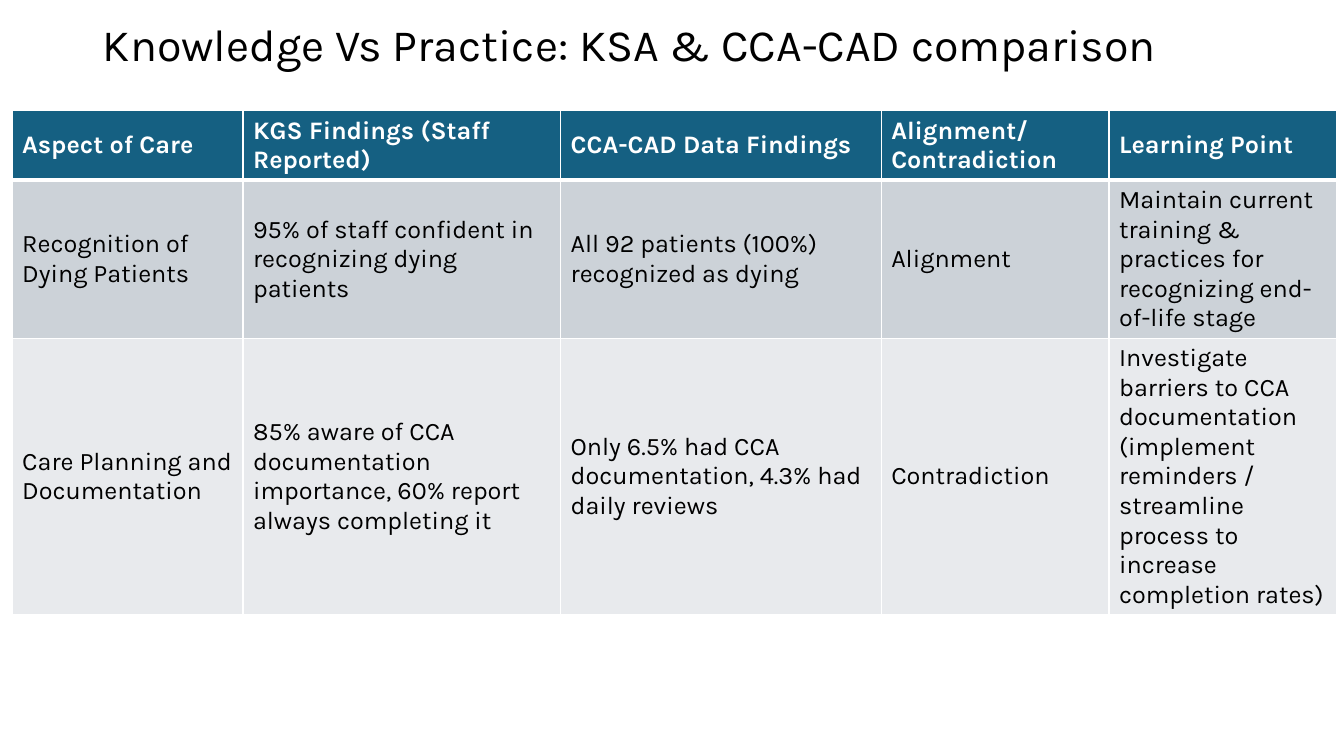
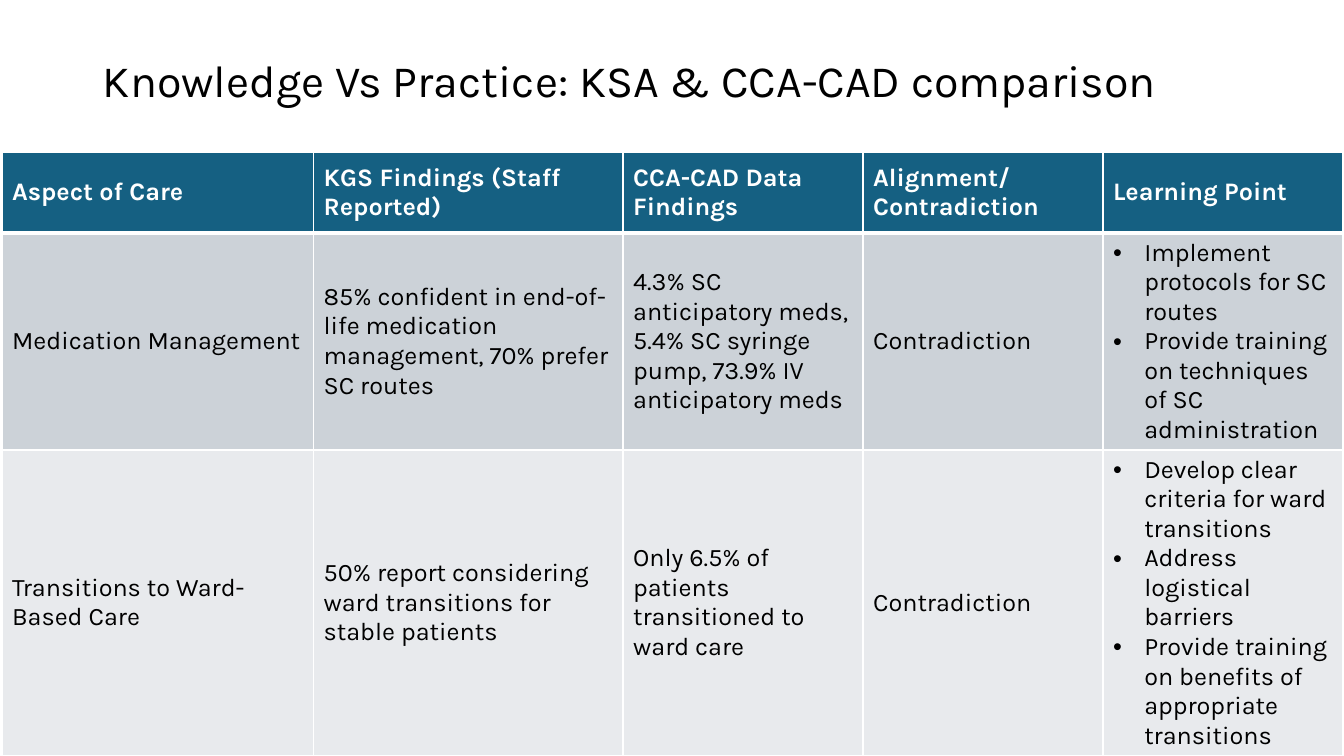
from lxml.etree import SubElement as Sub
from pptx import Presentation
from pptx.dml.color import RGBColor
from pptx.enum.text import MSO_ANCHOR as Anchor, MSO_AUTO_SIZE as Fit, PP_ALIGN as Align
from pptx.oxml.ns import qn
from pptx.util import Pt

# Shared scale and style: 100 px to the inch
UNIT = 9144
FONT = "Karla"
INK, PAPER, HEAD = "000000", "FFFFFF", "156082"
BANDS = ["CCD2D8", "E8EAED"]
TITLE = "Knowledge Vs Practice: KSA & CCA-CAD comparison"
HEADS = ["Aspect of Care", "KGS Findings (Staff Reported)", "CCA-CAD Data Findings",
         "Alignment/Contradiction", "Learning Point"]

# One entry per slide; a list in a cell becomes bullets
PAGES = [
    {"title": (92, 10, 1150, 74), "spot": (12, 110),
     "cols": [229, 315, 318, 226, 226], "rows": [68, 157, 273],
     "body": [
         ["Recognition of Dying Patients",
          "95% of staff confident in recognizing dying patients",
          "All 92 patients (100%) recognized as dying",
          "Alignment",
          "Maintain current training & practices for recognizing end-of-life stage"],
         ["Care Planning and Documentation",
          "85% aware of CCA documentation importance, 60% report always completing it",
          "Only 6.5% had CCA documentation, 4.3% had daily reviews",
          "Contradiction",
          "Investigate barriers to CCA documentation (implement reminders / "
          "streamline process to increase completion rates)"]]},
    {"title": (92, 45, 1150, 74), "spot": (2, 151),
     "cols": [309, 307, 238, 238, 238], "rows": [80, 215, 303],
     "body": [
         ["Medication Management",
          "85% confident in end-of-life medication management, 70% prefer SC routes",
          "4.3% SC anticipatory meds, 5.4% SC syringe pump, 73.9% IV anticipatory meds",
          "Contradiction",
          ["Implement protocols for SC routes",
           "Provide training on techniques of SC administration"]],
         ["Transitions to Ward-Based Care",
          "50% report considering ward transitions for stable patients",
          "Only 6.5% of patients transitioned to ward care",
          "Contradiction",
          ["Develop clear criteria for ward transitions",
           "Address logistical barriers",
           "Provide training on benefits of appropriate transitions"]]]},
]


def px(num):
    return num * UNIT


def tint(code):
    return RGBColor.from_string(code)


def style(para, size, color, bold=False):
    for run in para.runs:
        font = run.font
        font.name, font.size, font.bold = FONT, Pt(size), bold
        font.color.rgb = tint(color)


def bullet(para):
    props = para._p.get_or_add_pPr()
    props.set("marL", str(px(31)))
    props.set("indent", str(px(-31)))
    Sub(props, qn("a:buFont"), typeface="Arial")
    Sub(props, qn("a:buChar"), char="•")


def edge(cell, row):
    # White rules, heavier between the header and the body
    wide = {"T": 3 if row == 1 else 1, "B": 3 if row == 0 else 1}
    props = cell._tc.get_or_add_tcPr()
    for side in "LRTB":
        line = Sub(props, qn("a:ln" + side), w=str(Pt(wide.get(side, 1))))
        fill = Sub(line, qn("a:solidFill"))
        Sub(fill, qn("a:srgbClr"), val=PAPER)


def fill_cell(cell, text, row):
    edge(cell, row)
    cell.fill.solid()
    cell.fill.fore_color.rgb = tint(BANDS[(row - 1) % 2] if row else HEAD)
    cell.vertical_anchor = Anchor.MIDDLE
    points = isinstance(text, list)
    cell.text_frame.text = "\n".join(text) if points else text
    for para in cell.text_frame.paragraphs:
        style(para, 18, INK if row else PAPER, not row)
        if points:
            bullet(para)


def add_title(slide, box):
    title = slide.shapes.title
    title.left, title.top, title.width, title.height = map(px, box)
    frame = title.text_frame
    frame.text = TITLE
    frame.word_wrap, frame.auto_size = True, Fit.NONE
    frame.vertical_anchor = Anchor.MIDDLE
    para = frame.paragraphs[0]
    para.alignment, para.line_spacing = Align.LEFT, 0.9
    style(para, 32, INK)


def add_grid(slide, spot, cols, rows, body):
    size = sum(cols), sum(rows)
    frame = slide.shapes.add_table(len(rows), len(cols), *map(px, spot + size))
    grid = frame.table
    for col, wide in zip(grid.columns, cols):
        col.width = px(wide)
    for num, (high, texts) in enumerate(zip(rows, [HEADS] + body)):
        grid.rows[num].height = px(high)
        for cell, text in zip(grid.rows[num].cells, texts):
            fill_cell(cell, text, num)


def main():
    deck = Presentation()
    deck.slide_width, deck.slide_height = px(1333), px(750)
    for page in PAGES:
        slide = deck.slides.add_slide(deck.slide_layouts[5])
        add_title(slide, page["title"])
        add_grid(slide, page["spot"], page["cols"], page["rows"], page["body"])
    deck.save("out.pptx")


if __name__ == "__main__":
    main()
